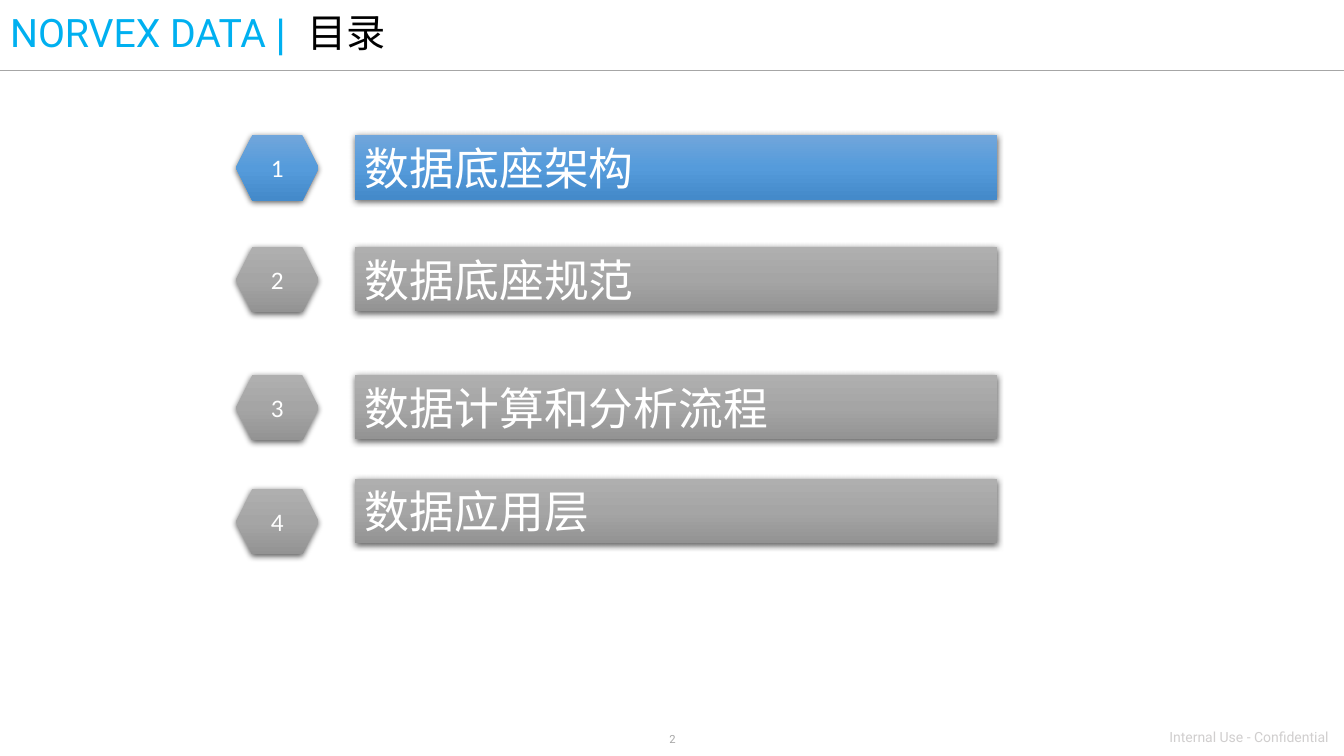
from copy import deepcopy
from dataclasses import dataclass

from lxml.etree import SubElement
from pptx import Presentation
from pptx.dml.color import RGBColor
from pptx.enum.shapes import MSO_CONNECTOR, MSO_SHAPE
from pptx.enum.text import MSO_ANCHOR, MSO_AUTO_SIZE, PP_ALIGN
from pptx.oxml.ns import qn
from pptx.util import Pt

EMU_PER_PX = 9144
SLIDE_WIDTH, SLIDE_HEIGHT = 1333, 750


@dataclass(frozen=True)
class Theme:
    company: str = "00B0F0"
    heading: str = "000000"
    rule: str = "A6A6A6"
    notice: str = "D0CECE"
    on_fill: str = "FFFFFF"
    active: tuple = ("71A6DB", "559BDB", "448ACA")
    inactive: tuple = ("AFAFAF", "A5A5A5", "939393")
    latin: str = "Roboto"
    separator: str = "Arial"
    number: str = "Calibri"
    chinese: str = "Noto Sans CJK SC"
    title_size: int = 28
    topic_size: int = 32
    number_size: int = 18
    notice_size: int = 10
    page_size: int = 8


THEME = Theme()

AGENDA = [
    ("数据底座架构", 0, 0),
    ("数据底座规范", 111, 111),
    ("数据计算和分析流程", 238, 238),
    ("数据应用层", 351, 341),
]


def px(length):
    return length * EMU_PER_PX


def box(*lengths):
    return [px(length) for length in lengths]


def style_run(run, font, size, color):
    run.font.name = font
    run.font.size = Pt(size)
    run.font.color.rgb = RGBColor.from_string(color)
    if font == THEME.chinese:
        latin = run.font._element.find(qn("a:latin"))
        east_asian = deepcopy(latin)
        east_asian.tag = qn("a:ea")
        latin.addnext(east_asian)


def write(shape, words, font, size, color, align):
    frame = shape.text_frame
    frame.word_wrap = True
    frame.text = words
    paragraph = frame.paragraphs[0]
    paragraph.alignment = align
    style_run(paragraph.runs[0], font, size, color)
    return frame


def fill_gradient(shape, colors):
    shape.fill.gradient()
    shape.fill.gradient_angle = 270
    stops = shape._element.spPr.find(qn("a:gradFill")).find(qn("a:gsLst"))
    stops.insert(1, deepcopy(stops[0]))
    for stop, color, position in zip(shape.fill.gradient_stops, colors, (0, 0.5, 1)):
        stop.color.rgb = RGBColor.from_string(color)
        stop.position = position


def cast_shadow(shape):
    shape.shadow.inherit = False
    effects = shape._element.spPr.find(qn("a:effectLst"))
    shadow = SubElement(effects, qn("a:outerShdw"), blurRad=str(Pt(4.5)),
                        dist=str(Pt(1.5)), dir="5400000", algn="ctr", rotWithShape="0")
    color = SubElement(shadow, qn("a:srgbClr"), val="000000")
    SubElement(color, qn("a:alpha"), val="63000")


def add_raised_shape(slide, preset, bounds, colors):
    shape = slide.shapes.add_shape(preset, *box(*bounds))
    fill_gradient(shape, colors)
    shape.line.fill.background()
    cast_shadow(shape)
    return shape


def add_header(slide, left, top, width, height):
    title = slide.shapes.title
    title.left, title.top, title.width, title.height = box(left, top, 1150, height - 1)
    frame = title.text_frame
    frame.auto_size = MSO_AUTO_SIZE.NONE
    frame.vertical_anchor = MSO_ANCHOR.MIDDLE
    paragraph = frame.paragraphs[0]
    paragraph.alignment = PP_ALIGN.LEFT
    paragraph.line_spacing = 0.9
    for words, font, color in [
        ("NORVEX DATA ", THEME.latin, THEME.company),
        ("|  ", THEME.separator, THEME.company),
        ("目录", THEME.chinese, THEME.heading),
    ]:
        run = paragraph.add_run()
        run.text = words
        style_run(run, font, THEME.title_size, color)

    bottom = top + height
    rule = slide.shapes.add_connector(
        MSO_CONNECTOR.STRAIGHT, *box(left, bottom, left + width, bottom))
    rule.line.color.rgb = RGBColor.from_string(THEME.rule)
    rule.line.width = Pt(1)
    SubElement(rule._element.spPr, qn("a:effectLst"))


def add_agenda(slide, left, top, width):
    for number, (topic, number_offset, topic_offset) in enumerate(AGENDA, 1):
        colors = THEME.active if number == 1 else THEME.inactive
        badge = add_raised_shape(
            slide, MSO_SHAPE.HEXAGON, (left, top + number_offset, 82, 65), colors)
        badge_text = write(badge, str(number), THEME.number, THEME.number_size,
                           THEME.on_fill, PP_ALIGN.CENTER)
        badge_text.vertical_anchor = MSO_ANCHOR.MIDDLE

        bar = add_raised_shape(
            slide, MSO_SHAPE.RECTANGLE,
            (left + 118, top + topic_offset, width - 118, 64), colors)
        bar_text = write(bar, topic, THEME.chinese, THEME.topic_size,
                         THEME.on_fill, PP_ALIGN.LEFT)
        bar_text.vertical_anchor = MSO_ANCHOR.MIDDLE
        bar_text.margin_top = bar_text.margin_bottom = 0


def add_footer(slide, left, top, width):
    page = slide.shapes.add_textbox(*box(left + 579, top + 4, 176, 24))
    write(page, "2", THEME.latin, THEME.page_size, THEME.rule, PP_ALIGN.CENTER)
    notice = slide.shapes.add_textbox(*box(left + width - 183, top, 183, 27))
    write(notice, "Internal Use - Confidential", THEME.latin, THEME.notice_size,
          THEME.notice, PP_ALIGN.LEFT)


def main():
    deck = Presentation()
    deck.slide_width, deck.slide_height = box(SLIDE_WIDTH, SLIDE_HEIGHT)
    slide = deck.slides.add_slide(deck.slide_layouts[5])
    add_header(slide, 0, 0, SLIDE_WIDTH, 70)
    add_agenda(slide, 234, 134, 755)
    add_footer(slide, 0, 718, SLIDE_WIDTH)
    deck.save("out.pptx")


if __name__ == "__main__":
    main()
